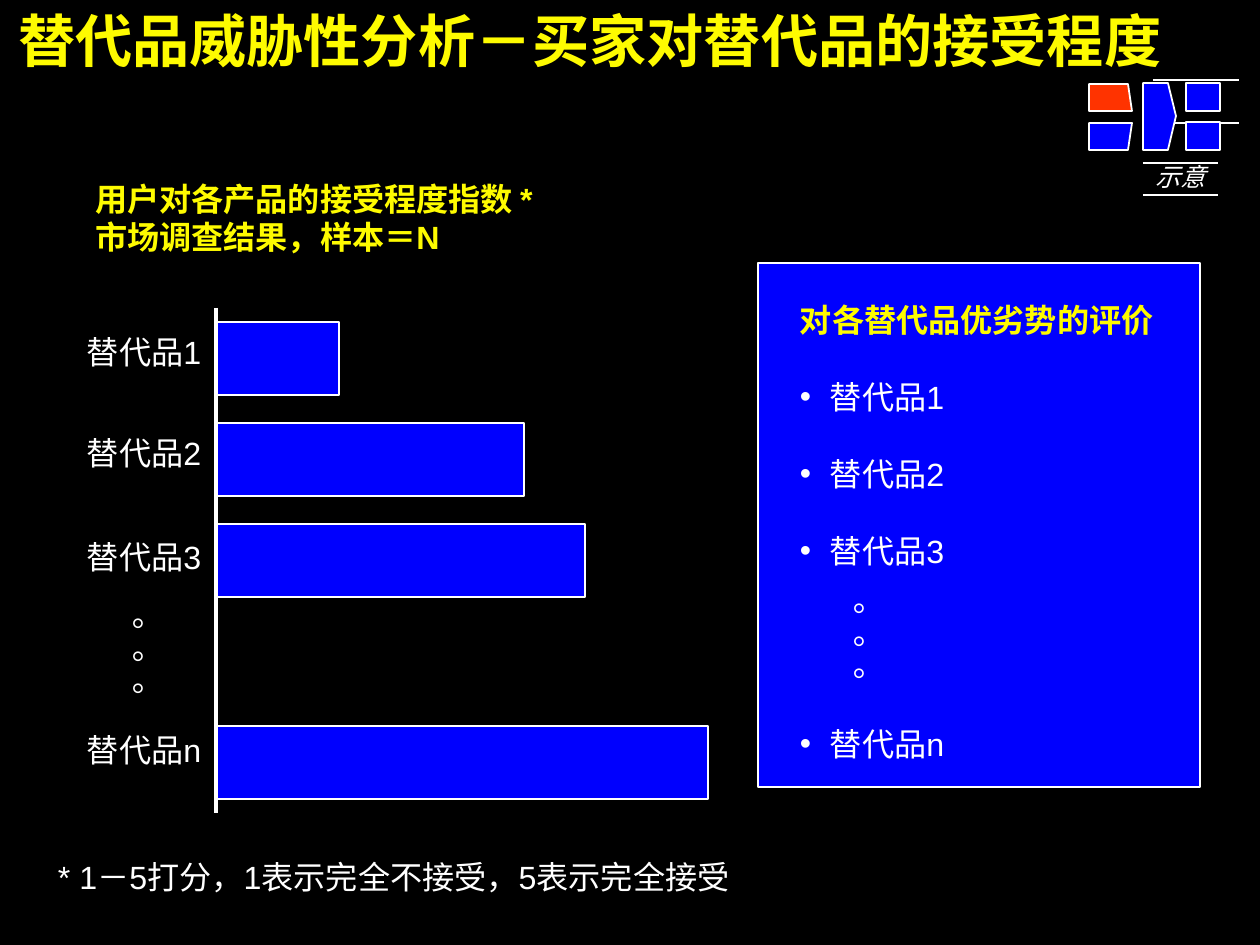
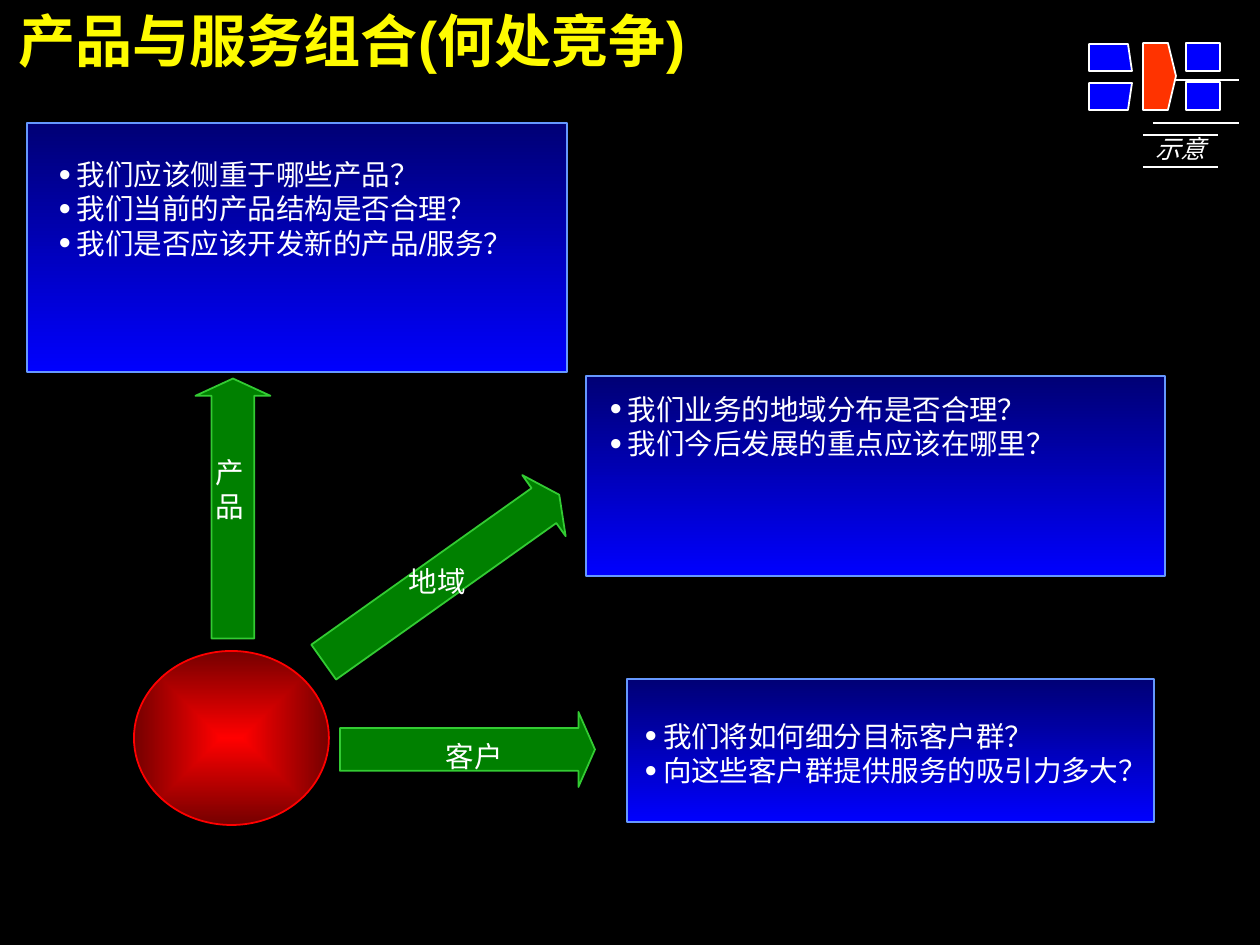
import pptx
import pptx.util
import pptx.dml.color
import pptx.enum.shapes
import pptx.enum.text
import pptx.oxml.ns
from dataclasses import dataclass
from lxml import etree

PX = 7112  # EMU in one px
SHAPE = pptx.enum.shapes.MSO_SHAPE
ALIGN = pptx.enum.text.PP_ALIGN
qn = pptx.oxml.ns.qn


@dataclass(frozen=True)
class Theme:
    black: str = "000000"
    white: str = "FFFFFF"
    gold: str = "FEFB00"
    blue: str = "0000FE"
    navy: str = "000075"
    sky: str = "6598FF"
    red: str = "FF0000"
    wine: str = "750000"
    flame: str = "FF3300"
    green: str = "008000"
    lime: str = "33CB33"
    font: str = "Arial"
    asian: str = "Noto Sans CJK SC"
    title: int = 32
    body: int = 18
    list: int = 16
    tag: int = 14


T = Theme()

# Shared content
TITLE_BOX = (18, 5, 1220, 68)
RULES = (80, 123)
TAG = "示意"
DOTS = "。。。"

# Slide 1 content
TITLE_1 = "替代品威胁性分析－买家对替代品的接受程度"
HEAD = ["用户对各产品的接受程度指数 *", "市场调查结果，样本＝N"]
BARS = [  # label, score, row, label top
    ("替代品1", 1, 0, 332),
    ("替代品2", 2.5, 1, 433),
    ("替代品3", 3, 2, 537),
    ("替代品n", 4, 4, 730),
]
AXIS, UNIT, FIRST, PITCH, THICK = 216, 123, 322, 101, 73
DOT_BOXES = [(84, 663, 129, 39), (805, 648, 129, 39)]
NOTE = "* 1－5打分，1表示完全不接受，5表示完全接受"
PANEL_HEAD = "对各替代品优劣势的评价"
LINE_PT = 21.6

# Slide 2 content
TITLE_2 = "产品与服务组合(何处竞争)"
BOXES = [(627, 679, 527, 143), (586, 376, 579, 200), (27, 123, 540, 249)]
PRODUCT = ["我们应该侧重于哪些产品？", "我们当前的产品结构是否合理？",
           "我们是否应该开发新的产品/服务？"]
LISTS = [
    ((609, 392, 535, 68), ["我们业务的地域分布是否合理？",
                           "我们今后发展的重点应该在哪里？"]),
    ((644, 719, 503, 103), ["我们将如何细分目标客户群？",
                            "向这些客户群提供服务的吸引力多大？"]),
]
ARROWS = [  # box, turn, head, label, label box
    ((103, 471, 260, 75), 270, 0.23, "产品", (216, 455, 45, 68)),
    ((297, 541, 289, 75), 324.6, 0.25, "地域", (409, 564, 82, 35)),
    ((340, 712, 255, 75), 0, 0.22, "客户", (446, 739, 82, 35)),
]


def emu(box):
    return [n * PX for n in box]


def rgb(code):
    return pptx.dml.color.RGBColor.from_string(code)


def place(shape, box):
    shape.left, shape.top, shape.width, shape.height = emu(box)


def paint(shape, fill, edge, weight=1):
    """Fill with one colour, or a top-to-bottom pair."""
    shape.shadow.inherit = False
    if isinstance(fill, tuple):
        shape.fill.gradient()
        shape.fill.gradient_angle = 270
        for stop, code in zip(shape.fill.gradient_stops, fill):
            stop.color.rgb = rgb(code)
    else:
        shape.fill.solid()
        shape.fill.fore_color.rgb = rgb(fill)
    shape.line.color.rgb = rgb(edge)
    shape.line.width = pptx.util.Pt(weight)


def draw(slide, kind, box, fill, edge=T.white, weight=1):
    shape = slide.shapes.add_shape(kind, *emu(box))
    paint(shape, fill, edge, weight)
    return shape


def rule(slide, start, end, weight):
    line = slide.shapes.add_connector(
        pptx.enum.shapes.MSO_CONNECTOR.STRAIGHT, *emu(start + end))
    line.line.color.rgb = rgb(T.white)
    line.line.width = pptx.util.Pt(weight)
    etree.SubElement(line.element.spPr, qn("a:effectLst"))
    return line


def bullet(para, indent, hang, size):
    props = para._p.get_or_add_pPr()
    props.set("marL", str(indent * PX))
    props.set("indent", str(-hang * PX))
    if not hang:
        etree.SubElement(props, qn("a:buNone"))
        return
    tint = etree.SubElement(props, qn("a:buClr"))
    etree.SubElement(tint, qn("a:srgbClr"), val=T.white)
    etree.SubElement(props, qn("a:buSzPct"), val=str(size * 1000))
    etree.SubElement(props, qn("a:buFont"), typeface=T.font)
    etree.SubElement(props, qn("a:buChar"), char="•")


def style(para, text, size, color=T.white, bold=False, italic=False,
          font=T.font, align=ALIGN.LEFT, before=0, mark=(0, 0, 100)):
    para.text = text
    bullet(para, *mark)
    para.alignment = align
    para.space_before = pptx.util.Pt(before)
    face = para.font
    face.size, face.bold, face.italic = pptx.util.Pt(size), bold, italic
    face.color.rgb = rgb(color)
    face.name = font
    props = para._p.pPr.find(qn("a:defRPr"))
    etree.SubElement(props, qn("a:ea"), typeface=T.asian)


def write(shape, lines, size, wrap=True, **look):
    frame = shape.text_frame
    frame.margin_left = frame.margin_right = 0
    frame.margin_top = frame.margin_bottom = 0
    frame.word_wrap = wrap
    frame.auto_size = pptx.enum.text.MSO_AUTO_SIZE.NONE
    frame.vertical_anchor = pptx.enum.text.MSO_ANCHOR.TOP
    for i, line in enumerate(lines):
        para = frame.add_paragraph() if i else frame.paragraphs[0]
        style(para, line, size, **look)
    return frame


def label(slide, box, lines, size, **look):
    shape = slide.shapes.add_textbox(*emu(box))
    write(shape, lines, size, **look)
    return shape


def start(deck, title, box, lines, size, **look):
    """Add a slide with its title and body filled."""
    slide = deck.slides.add_slide(deck.slide_layouts[1])
    place(slide.shapes.title, TITLE_BOX)
    write(slide.shapes.title, [title], T.title, color=T.gold, bold=True)
    body = slide.placeholders[1]
    place(body, box)
    write(body, lines, size, **look)
    return slide


def corner(slide, top, tag, active):
    """Draw the step icon and the tag under it."""
    label(slide, (1156, tag, 50, 30), [TAG], T.tag, wrap=False,
          italic=True, font=T.asian, align=ALIGN.RIGHT)
    for y in (tag + 1, tag + 33):
        rule(slide, (1143, y), (1218, y), 0.75)
    for y in (top, top + 39):
        draw(slide, SHAPE.RECTANGLE, (1186, y, 34, 28), T.blue)
    steps = {
        "centre": [(1143, 0), (1168, 0), (1176, 33), (1168, 67), (1143, 67)],
        "lower": [(1089, 67), (1128, 67), (1132, 40), (1089, 40)],
        "upper": [(1089, 1), (1128, 1), (1132, 28), (1089, 28)],
    }
    for name, points in steps.items():
        spots = [(x, y + top) for x, y in points]
        form = slide.shapes.build_freeform(*spots[0], scale=float(PX))
        form.add_line_segments(spots[1:], close=True)
        paint(form.convert_to_shape(), T.flame if name == active else T.blue,
              T.white)


def master_rules(deck, slide):
    """Put the two corner rules on the slide master."""
    for i, y in enumerate(RULES):
        line = rule(slide, (1153, y), (1239, y), 1)
        line.element.nvCxnSpPr.cNvPr.set("id", str(20 + i))
        deck.slide_master.shapes.element.append(line.element)


def accept(deck):
    slide = start(deck, TITLE_1, (95, 179, 500, 77), HEAD, T.body,
                  color=T.gold, bold=True)
    master_rules(deck, slide)

    # Scores
    for name, score, row, top in BARS:
        box = (AXIS, FIRST + row * PITCH, round(score * UNIT), THICK)
        draw(slide, SHAPE.RECTANGLE, box, T.blue, weight=0.75)
        label(slide, (87, top, 139, 39), [name], T.body)
    rule(slide, (AXIS, 308), (AXIS, 813), 2.25)
    label(slide, (58, 857, 680, 77), [NOTE], T.body)

    # Review panel
    draw(slide, SHAPE.RECTANGLE, (758, 263, 442, 524), T.blue)
    panel = label(slide, (800, 300, 370, 487), [PANEL_HEAD], T.body,
                  color=T.gold, bold=True)
    rows = [0] + [bar[2] for bar in BARS]
    for i, bar in enumerate(BARS):
        skip = 1 if rows[i + 1] - rows[i] < 2 else 4
        style(panel.text_frame.add_paragraph(), bar[0], T.body,
              before=skip * LINE_PT, mark=(30, 30, 100))

    for box in DOT_BOXES:
        label(slide, box, [DOTS], T.body).rotation = 90
    corner(slide, 83, 162, "upper")


def compete(deck):
    look = {"mark": (19, 18, 120)}
    slide = start(deck, TITLE_2, (58, 157, 458, 175), PRODUCT, T.list, **look)
    body = slide.placeholders[1].element

    # Hub with a gradient from its centre
    hub = draw(slide, SHAPE.OVAL, (134, 651, 195, 174), (T.red, T.wine), T.red)
    grad = hub.element.spPr.find(qn("a:gradFill"))
    grad.remove(grad.find(qn("a:lin")))
    burst = etree.SubElement(grad, qn("a:path"), path="rect")
    etree.SubElement(burst, qn("a:fillToRect"),
                     {side: "50000" for side in "ltrb"})

    # Question boxes, with the body above them
    for box in BOXES:
        draw(slide, SHAPE.RECTANGLE, box, (T.navy, T.blue), T.sky)
    slide.shapes.element.append(body)
    for box, lines in LISTS:
        label(slide, box, lines, T.list, **look)

    # Arrows
    for box, turn, head, name, spot in ARROWS:
        arrow = draw(slide, SHAPE.RIGHT_ARROW, box, T.green, T.lime)
        arrow.rotation = turn
        arrow.adjustments[0], arrow.adjustments[1] = 0.57, head
        label(slide, spot, [name], T.list)
    corner(slide, 43, 134, "centre")


def main():
    deck = pptx.Presentation()
    deck.slide_width, deck.slide_height = emu((1260, 945))
    back = deck.slide_master.background.fill
    back.solid()
    back.fore_color.rgb = rgb(T.black)
    accept(deck)
    compete(deck)
    deck.save("out.pptx")


if __name__ == "__main__":
    main()
